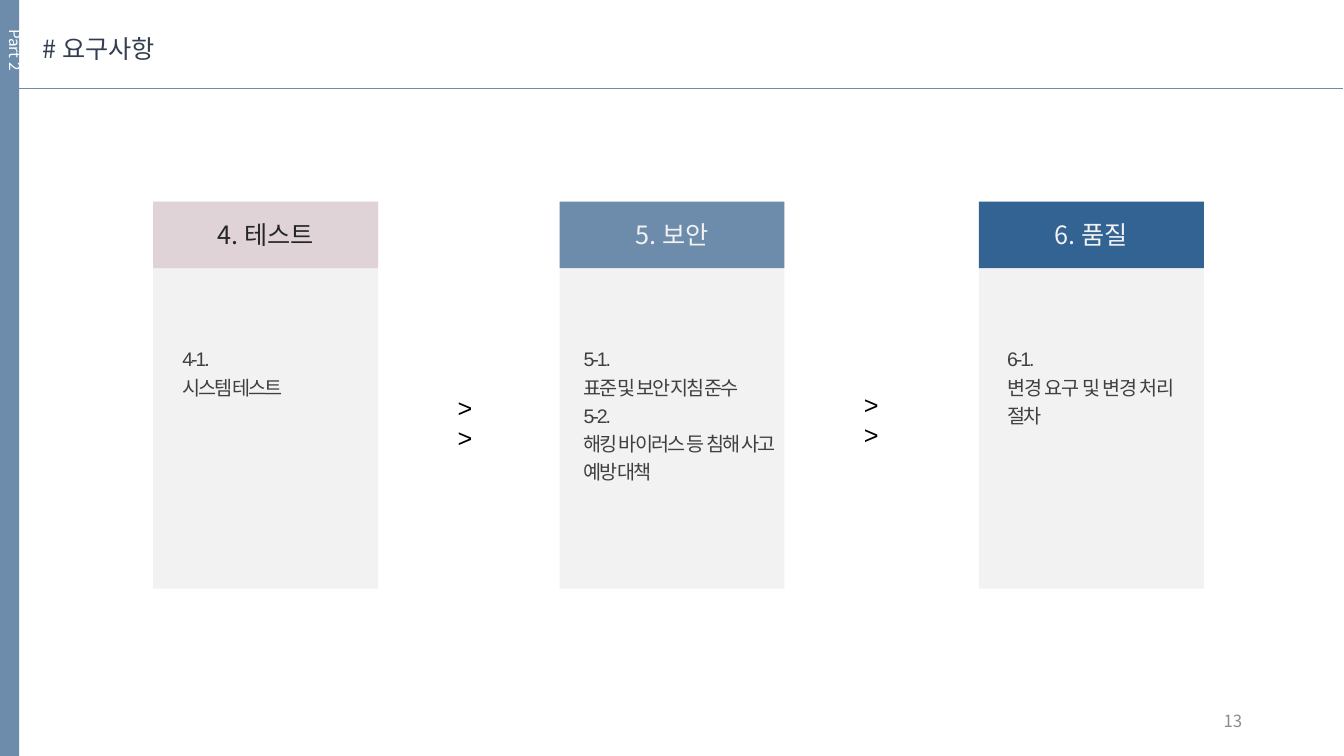
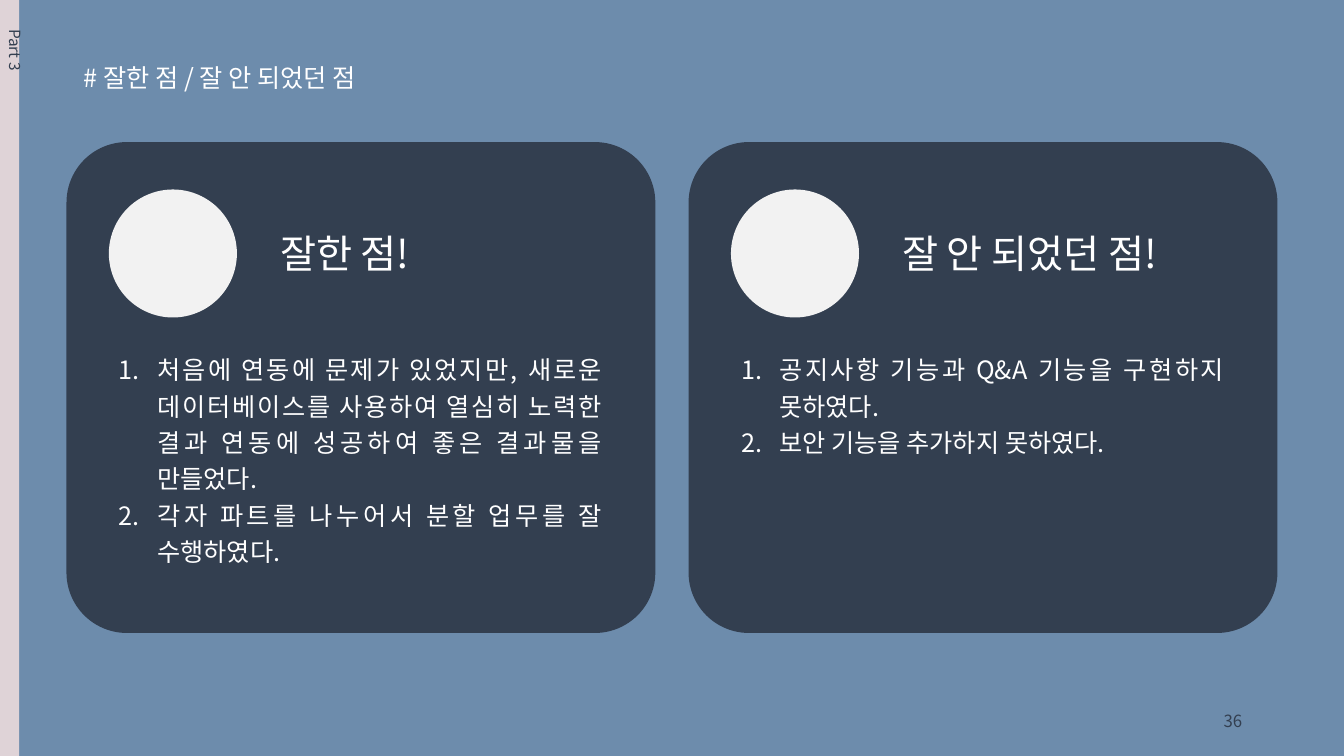
from lxml import etree
from pptx import Presentation
from pptx.dml.color import RGBColor
from pptx.enum import shapes, text
from pptx.oxml.ns import qn
from pptx.util import Inches, Pt

WHITE = RGBColor(0xFF, 0xFF, 0xFF)
BLACK = RGBColor(0x00, 0x00, 0x00)
STEEL = RGBColor(0x6D, 0x8C, 0xAC)
BLUE = RGBColor(0x32, 0x63, 0x93)
ROSE = RGBColor(0xDF, 0xD3, 0xD7)
NAVY = RGBColor(0x33, 0x3F, 0x50)
PALE = RGBColor(0xF2, 0xF2, 0xF2)
INK = RGBColor(0x26, 0x26, 0x26)
GRAPHITE = RGBColor(0x40, 0x40, 0x40)
GREY = RGBColor(0x8C, 0x8C, 0x8C)
KOREAN = "Noto Sans CJK KR"
LATIN = "Arial"
LEFT, CENTER = text.PP_ALIGN.LEFT, text.PP_ALIGN.CENTER
RIGHT, JUSTIFY = text.PP_ALIGN.RIGHT, text.PP_ALIGN.JUSTIFY
TOP, MIDDLE = text.MSO_ANCHOR.TOP, text.MSO_ANCHOR.MIDDLE
RECT = shapes.MSO_SHAPE.RECTANGLE


def write(box, lines, size, color, align=LEFT, anchor=TOP, font=KOREAN,
          line_spacing=1.0, tracking=None, numbered=False):
    """Fill a shape or placeholder with evenly styled paragraphs."""
    frame = box.text_frame
    frame.text = "\n".join(lines)
    frame.word_wrap = True
    frame.auto_size = text.MSO_AUTO_SIZE.NONE
    frame.vertical_anchor = anchor
    for paragraph in frame.paragraphs:
        paragraph.alignment = align
        paragraph.line_spacing = line_spacing
        paragraph.space_before = Pt(0)
        paragraph.font.size = Pt(size)
        paragraph.font.color.rgb = color
        paragraph.font.name = font
        properties = paragraph._p.pPr
        defaults = properties.find(qn("a:defRPr"))
        etree.SubElement(defaults, qn("a:ea")).set("typeface", KOREAN)
        if tracking:
            defaults.set("spc", str(int(tracking * 100)))
        if numbered:
            properties.set("marL", str(Inches(0.38)))
            properties.set("indent", str(Inches(-0.38)))
            number = etree.Element(qn("a:buAutoNum"), type="arabicPeriod")
            defaults.addprevious(number)


def add_block(slide, kind, left, top, width, height, fill):
    block = slide.shapes.add_shape(
        kind, Inches(left), Inches(top), Inches(width), Inches(height))
    block.shadow.inherit = False
    block.fill.solid()
    block.fill.fore_color.rgb = fill
    block.line.fill.background()
    return block


deck = Presentation()
deck.slide_width, deck.slide_height = Inches(13.33), Inches(7.5)
requirements = deck.slides.add_slide(deck.slide_layouts[5])
review = deck.slides.add_slide(deck.slide_layouts[3])

# Shared frame: background, title, side band, part label, page number
for slide, title, title_at, title_color, back, band, part, part_color, page, page_color in [
    (requirements, "# 요구사항", (0.32, 0.28), NAVY, WHITE, STEEL,
     "Part 2", WHITE, "13", GREY),
    (review, "# 잘한 점 / 잘 안 되었던 점", (0.73, 0.57), WHITE, STEEL, ROSE,
     "Part 3", NAVY, "36", NAVY),
]:
    slide.background.fill.solid()
    slide.background.fill.fore_color.rgb = back
    heading = slide.shapes.title
    heading.left, heading.top = map(Inches, title_at)
    heading.width, heading.height = Inches(8), Inches(0.4)
    write(heading, [title], 18, title_color)
    add_block(slide, RECT, 0, 0, 0.19, 7.5, band)
    part_label = slide.shapes.add_textbox(
        Inches(-0.09), Inches(0.19), Inches(0.39), Inches(1.2))
    write(part_label, [part], 11, part_color)
    part_label.element.find(".//" + qn("a:bodyPr")).set("vert", "eaVert")
    page_number = slide.shapes.add_textbox(
        Inches(9.42), Inches(6.95), Inches(3), Inches(0.4))
    write(page_number, [page], 12, page_color, RIGHT, MIDDLE)

# Requirements: three columns joined by chevrons
rule = requirements.shapes.add_connector(
    shapes.MSO_CONNECTOR.STRAIGHT,
    Inches(0.18), Inches(0.88), Inches(13.32), Inches(0.88))
rule.line.color.rgb = STEEL
rule.line.width = Pt(0.5)
etree.SubElement(rule.element.spPr, qn("a:effectLst"))

for left, label, fill, color, note_left, note_width, notes in [
    (1.52, "4. 테스트", ROSE, INK, 1.71, 1.84, ["4-1.", "시스템 테스트"]),
    (5.55, "5. 보안", STEEL, PALE, 5.69, 2.08,
     ["5-1.", "표준 및 보안 지침 준수", "5-2.", "해킹 바이러스 등 침해 사고 예방 대책"]),
    (9.71, "6. 품질", BLUE, PALE, 9.89, 1.84,
     ["6-1.", "변경 요구 및 변경 처리 절차"]),
]:
    add_block(requirements, RECT, left, 2, 2.23, 3.84, PALE)
    header = add_block(requirements, RECT, left, 2, 2.23, 0.66, fill)
    write(header, [label], 18, color, CENTER, MIDDLE)
    details = requirements.shapes.add_textbox(
        Inches(note_left), Inches(3.35), Inches(note_width), Inches(1.49))
    write(details, notes, 14, GRAPHITE, JUSTIFY, font=LATIN,
          line_spacing=1.2, tracking=-1.5)

for left, top in [(4.44, 3.84), (8.47, 3.81)]:
    chevrons = requirements.shapes.add_textbox(
        Inches(left), Inches(top), Inches(0.43), Inches(0.7))
    write(chevrons, [">>"], 18, BLACK, font=LATIN)

# Review: two cards with numbered lists
for slot, left, label, points in [
    (1, 0.66, "잘한 점!",
     ["처음에 연동에 문제가 있었지만, 새로운 데이터베이스를 사용하여 열심히 노력한 "
      "결과 연동에 성공하여 좋은 결과물을 만들었다.",
      "각자 파트를 나누어서 분할 업무를 잘 수행하였다."]),
    (2, 6.83, "잘 안 되었던 점!",
     ["공지사항 기능과 Q&A 기능을 구현하지 못하였다.",
      "보안 기능을 추가하지 못하였다."]),
]:
    card = add_block(review, shapes.MSO_SHAPE.ROUNDED_RECTANGLE,
                     left, 1.41, 5.84, 4.87, NAVY)
    card.adjustments[0] = 0.123
    add_block(review, shapes.MSO_SHAPE.OVAL, left + 0.42, 1.88, 1.27, 1.27, PALE)
    card_title = review.shapes.add_textbox(
        Inches(left + 2.02), Inches(2.23), Inches(3.6), Inches(0.57))
    write(card_title, [label], 28, WHITE)
    findings = review.placeholders[slot]
    findings.left, findings.top = Inches(left + 0.42), Inches(3.41)
    findings.width, findings.height = Inches(4.99), Inches(2.25)
    write(findings, points, 18, WHITE, JUSTIFY, line_spacing=1.2, numbered=True)
    review.shapes.element.append(findings.element)  # bring in front of its card

deck.save("out.pptx")
